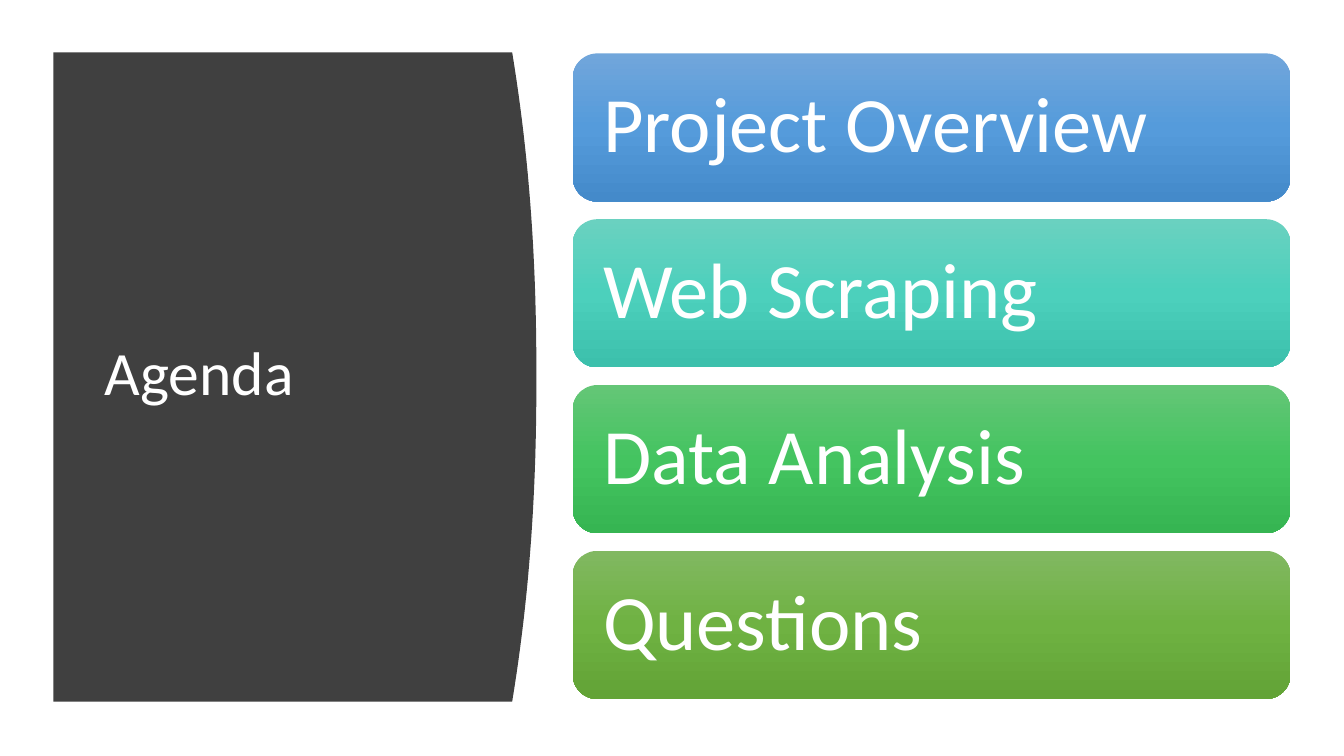
from copy import deepcopy

from pptx import Presentation
from pptx.dml.color import RGBColor
from pptx.enum.shapes import MSO_SHAPE
from pptx.enum.text import MSO_ANCHOR, PP_ALIGN
from pptx.oxml.ns import qn
from pptx.util import Inches, Pt

COLORS = {"panel": "404040", "text": "FFFFFF"}

# Each topic with its gradient from top to bottom
TOPICS = [
    ("Project Overview", ("71A6DB", "559BDB", "448ACA")),
    ("Web Scraping", ("6AD1C0", "4CD0BC", "3CC0AC")),
    ("Data Analysis", ("64C677", "44C460", "36B552")),
    ("Questions", ("81B861", "6FB242", "62A336")),
]
TOPIC_PITCH = 1.645


def rgb(value):
    return RGBColor.from_string(value)


def set_all(target, values):
    for name, value in values.items():
        setattr(target, name, value)


def write_text(box, text, size, side=0.1, top=0.05):
    frame = box.text_frame
    set_all(frame, {
        "word_wrap": True, "vertical_anchor": MSO_ANCHOR.MIDDLE,
        "margin_left": Inches(side), "margin_right": Inches(side),
        "margin_top": Inches(top), "margin_bottom": Inches(top),
    })
    para = frame.paragraphs[0]
    set_all(para, {"alignment": PP_ALIGN.LEFT, "line_spacing": 0.9})
    span = para.add_run()
    span.text = text
    set_all(span.font, {"name": "Calibri", "size": Pt(size)})
    span.font.color.rgb = rgb(COLORS["text"])


def fill_gradient(shape, colors):
    shape.fill.gradient()
    shape.fill.gradient_angle = 270
    # A new gradient has two stops, so a third is added
    stop_list = shape._element.spPr.find(".//" + qn("a:gsLst"))
    stop_list.append(deepcopy(stop_list[-1]))
    for index, (stop, color) in enumerate(zip(shape.fill.gradient_stops, colors)):
        stop.color.rgb = rgb(color)
        stop.position = index / (len(colors) - 1)


def add_panel(page):
    left, edge, top, bottom, bulge = 0.53, 5.08, 0.52, 6.96, 0.24
    steps = 48
    curve = []
    for step in range(steps + 1):
        offset = 2 * step / steps - 1
        x = edge + bulge * (1 - abs(offset) ** 2.2)
        y = top + (bottom - top) * step / steps
        curve.append((Inches(x), Inches(y)))
    builder = page.shapes.build_freeform(Inches(left), Inches(top), scale=1.0)
    builder.add_line_segments(curve + [(Inches(left), Inches(bottom))], close=True)
    panel = builder.convert_to_shape()
    panel.shadow.inherit = False
    panel.fill.solid()
    panel.fill.fore_color.rgb = rgb(COLORS["panel"])
    panel.line.fill.background()


def add_title(page, text):
    box = page.shapes.add_textbox(Inches(0.94), Inches(1.11), Inches(3.74), Inches(5.24))
    write_text(box, text, 44)


def add_topic(page, top, text, colors):
    box = page.shapes.add_shape(MSO_SHAPE.ROUNDED_RECTANGLE, Inches(5.68), Inches(top),
                                Inches(7.12), Inches(1.47))
    box.shadow.inherit = False
    box.line.fill.background()
    fill_gradient(box, colors)
    write_text(box, text, 56, side=0.23, top=0.23)


def main():
    deck = Presentation()
    set_all(deck, {"slide_width": Inches(13.33), "slide_height": Inches(7.5)})
    page = deck.slides.add_slide(deck.slide_layouts[6])

    # Left panel with the title
    add_panel(page)
    add_title(page, "Agenda")

    # Topics stacked at an equal pitch
    for row, (text, colors) in enumerate(TOPICS):
        add_topic(page, 0.53 + row * TOPIC_PITCH, text, colors)

    deck.save("out.pptx")


if __name__ == "__main__":
    main()
